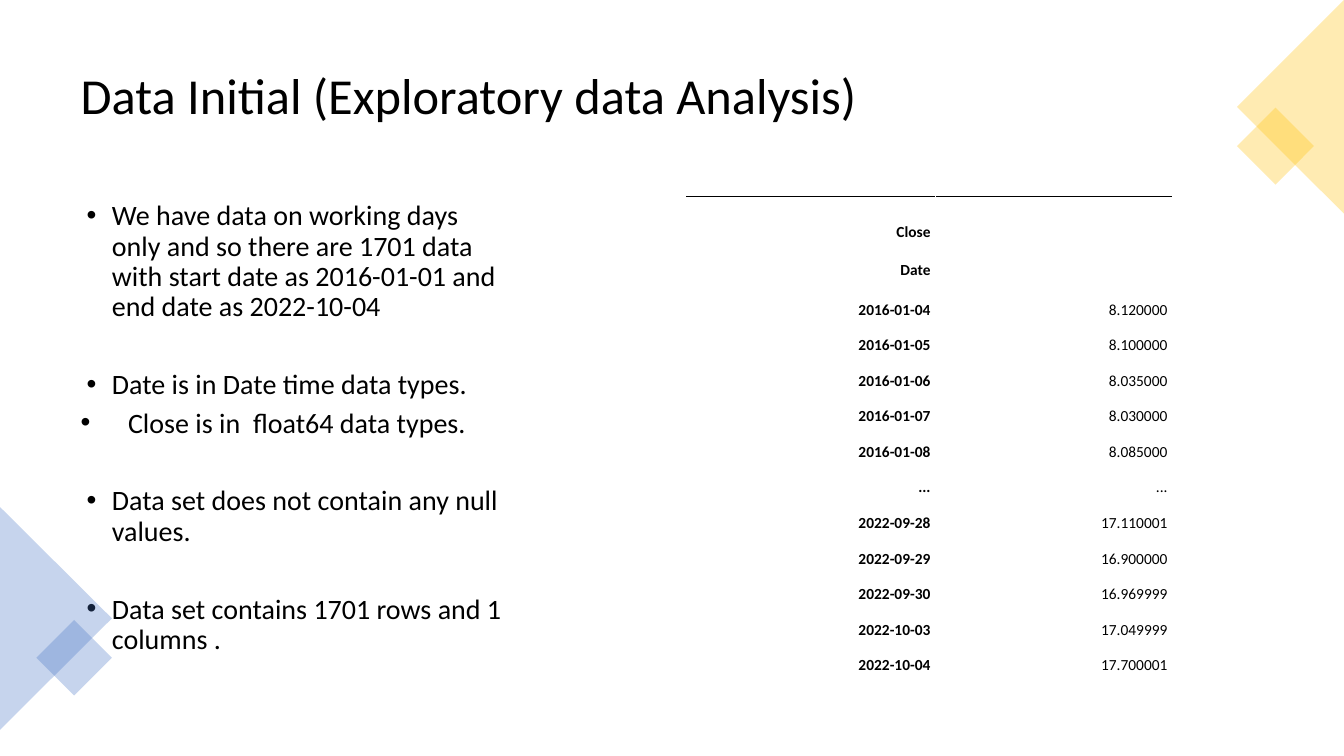
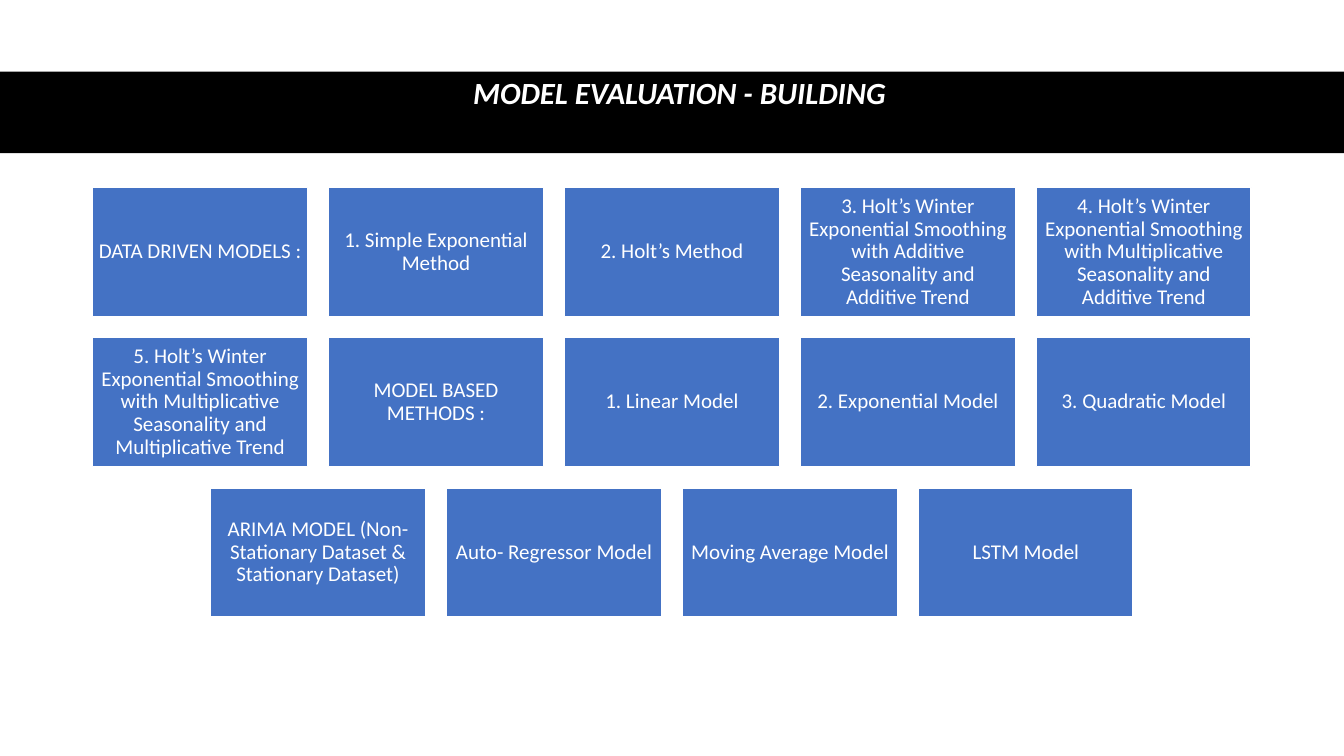
from dataclasses import dataclass

from lxml.etree import SubElement
from pptx import Presentation
from pptx.dml.color import RGBColor
from pptx.enum.shapes import MSO_SHAPE
from pptx.enum.text import MSO_ANCHOR, MSO_AUTO_SIZE, PP_ALIGN
from pptx.oxml import parse_xml
from pptx.oxml.ns import nsdecls, qn
from pptx.util import Pt

EMU_PER_PX = 9144  # 100 px to the inch
SLIDE_WIDTH, SLIDE_HEIGHT = 1333, 750
TITLE_AND_BODY, TITLE_ONLY = 1, 5


@dataclass(frozen=True)
class Theme:
    font: str = "Calibri"
    ink: str = "000000"
    paper: str = "FFFFFF"
    blue: str = "4472C4"
    gold: str = "FFC000"
    opacity: int = 30
    title_size: int = 36
    banner_size: int = 22
    body_size: int = 20
    card_size: int = 15
    table_size: int = 11
    line_spacing: float = 0.9


THEME = Theme()

# Text, left indent, hanging indent (px) and space before (pt)
FINDINGS = [
    ("We have data on working days only and so there are 1701 data with "
     "start date as 2016-01-01 and end date as 2022-10-04", 31, 25, 0),
    ("Date is in Date time data types.", 31, 25, 28),
    ("Close is in  float64 data types.", 47, 47, 0),
    ("Data set does not contain any null values.", 31, 25, 28),
    ("Data set contains 1701 rows and 1 columns .", 31, 25, 28),
]

CLOSING_PRICES = [
    ("Close", ""),
    ("Date", ""),
    ("2016-01-04", "8.120000"),
    ("2016-01-05", "8.100000"),
    ("2016-01-06", "8.035000"),
    ("2016-01-07", "8.030000"),
    ("2016-01-08", "8.085000"),
    ("...", "..."),
    ("2022-09-28", "17.110001"),
    ("2022-09-29", "16.900000"),
    ("2022-09-30", "16.969999"),
    ("2022-10-03", "17.049999"),
    ("2022-10-04", "17.700001"),
]

MODELS = [
    "DATA DRIVEN MODELS :",
    "1. Simple Exponential Method",
    "2. Holt’s Method",
    "3. Holt’s Winter Exponential Smoothing with Additive Seasonality "
    "and Additive Trend",
    "4. Holt’s Winter Exponential Smoothing with Multiplicative Seasonality "
    "and Additive Trend",
    "5. Holt’s Winter Exponential Smoothing with Multiplicative Seasonality "
    "and Multiplicative Trend",
    "MODEL BASED METHODS :",
    "1. Linear Model",
    "2. Exponential Model",
    "3. Quadratic Model",
    "ARIMA MODEL (Non-Stationary Dataset & Stationary Dataset)",
    "Auto- Regressor Model",
    "Moving Average Model",
    "LSTM Model",
]


def px(length):
    return length * EMU_PER_PX


def rgb(color):
    return RGBColor.from_string(color)


def set_values(target, values):
    for name, value in values.items():
        setattr(target, name, value)


def place(shape, left, top, width, height):
    set_values(shape, {"left": px(left), "top": px(top),
                       "width": px(width), "height": px(height)})


def write(paragraph, text, size, color, bold=False, italic=False, **layout):
    run = paragraph.add_run()
    run.text = text
    set_values(run.font, {"name": THEME.font, "size": Pt(size),
                          "bold": bold, "italic": italic})
    run.font.color.rgb = rgb(color)
    set_values(paragraph, layout)


def format_frame(frame, anchor, **margins):
    set_values(frame, {"word_wrap": True, "auto_size": MSO_AUTO_SIZE.NONE,
                       "vertical_anchor": anchor, **margins})


def add_title(slide, text, box, size, color, align,
              anchor=MSO_ANCHOR.MIDDLE, margin_top=5, **style):
    title = slide.shapes.title
    place(title, *box)
    format_frame(title.text_frame, anchor, margin_top=px(margin_top))
    write(title.text_frame.paragraphs[0], text, size, color,
          alignment=align, line_spacing=THEME.line_spacing, **style)
    return title


def add_block(slide, preset, box, color, rotation=0, opacity=100, outline=None):
    block = slide.shapes.add_shape(preset, *map(px, box))
    block.shadow.inherit = False
    block.rotation = rotation
    block.fill.solid()
    block.fill.fore_color.rgb = rgb(color)
    if opacity < 100:
        fill_color = block.element.spPr.find(".//" + qn("a:srgbClr"))
        SubElement(fill_color, qn("a:alpha"), val=str(opacity * 1000))
    if outline:
        block.line.color.rgb = rgb(outline)
        block.line.width = Pt(1)
    else:
        block.line.fill.background()
    return block


def add_bullet(paragraph, left, hanging):
    properties = paragraph._p.get_or_add_pPr()
    properties.set("marL", str(px(left)))
    properties.set("indent", str(-px(hanging)))
    SubElement(properties, qn("a:buFont"), typeface="Arial")
    SubElement(properties, qn("a:buChar"), char="•")


def add_findings(slide, box):
    body = slide.placeholders[1]
    place(body, *box)
    frame = body.text_frame
    format_frame(frame, MSO_ANCHOR.TOP)
    for index, (text, left, hanging, space_before) in enumerate(FINDINGS):
        paragraph = frame.add_paragraph() if index else frame.paragraphs[0]
        add_bullet(paragraph, left, hanging)
        write(paragraph, text, THEME.body_size, THEME.ink,
              alignment=PP_ALIGN.LEFT, line_spacing=THEME.line_spacing,
              space_before=Pt(space_before), space_after=Pt(6))


def add_top_border(cell):
    border = parse_xml(
        f'<a:lnT {nsdecls("a")} w="{Pt(1)}"><a:solidFill>'
        f'<a:srgbClr val="{THEME.ink}"/></a:solidFill></a:lnT>')
    cell._tc.get_or_add_tcPr().insert(0, border)


def add_price_table(slide, left, top, widths, header_height, rows_height):
    row_count = len(CLOSING_PRICES)
    frame = slide.shapes.add_table(
        row_count, len(widths), px(left), px(top),
        px(sum(widths)), px(header_height + rows_height))
    table = frame.table
    set_values(table, {"first_row": False, "horz_banding": False})
    for column, width in zip(table.columns, widths):
        column.width = px(width)
    for row_index, values in enumerate(CLOSING_PRICES):
        row = table.rows[row_index]
        is_header = row_index == 0
        row.height = (px(header_height) if is_header
                      else px(rows_height) // (row_count - 1))
        for column_index, text in enumerate(values):
            cell = table.cell(row_index, column_index)
            cell.fill.background()
            set_values(cell, {
                "margin_left": px(6), "margin_top": px(4),
                "margin_right": px(5), "margin_bottom": px(9),
                "vertical_anchor": (MSO_ANCHOR.BOTTOM if is_header
                                    else MSO_ANCHOR.MIDDLE)})
            if is_header:
                add_top_border(cell)
            if text:
                write(cell.text_frame.paragraphs[0], text, THEME.table_size,
                      THEME.ink, bold=column_index == 0,
                      alignment=PP_ALIGN.RIGHT)


def add_model_cards(slide, left, top, width, height, gap, per_row):
    pitch_x, pitch_y = width + gap, height + gap
    for index, text in enumerate(MODELS):
        row, column = divmod(index, per_row)
        in_row = min(per_row, len(MODELS) - row * per_row)
        row_left = left + (per_row - in_row) * pitch_x // 2
        card = add_block(
            slide, MSO_SHAPE.RECTANGLE,
            (row_left + column * pitch_x, top + row * pitch_y, width, height),
            THEME.blue, outline=THEME.paper)
        sides = ("left", "top", "right", "bottom")
        format_frame(card.text_frame, MSO_ANCHOR.MIDDLE,
                     **{f"margin_{side}": px(6) for side in sides})
        write(card.text_frame.paragraphs[0], text, THEME.card_size,
              THEME.paper, alignment=PP_ALIGN.CENTER,
              line_spacing=THEME.line_spacing)


def build_exploration(deck):
    slide = deck.slides.add_slide(deck.slide_layouts[TITLE_AND_BODY])
    add_title(slide, "Data Initial (Exploratory data Analysis)",
              (70, 35, 1193, 124), THEME.title_size, THEME.ink, PP_ALIGN.LEFT)
    add_findings(slide, (70, 195, 438, 481))
    # Corner ornaments
    triangle, square = MSO_SHAPE.ISOSCELES_TRIANGLE, MSO_SHAPE.RECTANGLE
    for preset, box, color, rotation in (
            (triangle, (-55, 558, 221, 111), THEME.blue, 90),
            (square, (47, 626, 53, 53), THEME.blue, 45),
            (square, (1238, 118, 54, 54), THEME.gold, 45),
            (triangle, (1174, 53, 212, 106), THEME.gold, 270)):
        add_block(slide, preset, box, color, rotation, THEME.opacity)
    add_price_table(slide, 680, 195, (248, 235), 54, 423)


def build_models(deck):
    slide = deck.slides.add_slide(deck.slide_layouts[TITLE_ONLY])
    # Black band, kept behind the title
    band = add_block(slide, MSO_SHAPE.RECTANGLE, (0, 71, SLIDE_WIDTH, 81),
                     THEME.ink)
    title = add_title(slide, "MODEL EVALUATION - BUILDING",
                      (61, 70, 1226, 81), THEME.banner_size, THEME.paper,
                      PP_ALIGN.CENTER, MSO_ANCHOR.TOP, margin_top=7,
                      bold=True, italic=True)
    title.element.addprevious(band.element)
    add_model_cards(slide, 92, 186, width=213, height=128, gap=21, per_row=5)


def main():
    deck = Presentation()
    set_values(deck, {"slide_width": px(SLIDE_WIDTH),
                      "slide_height": px(SLIDE_HEIGHT)})
    build_exploration(deck)
    build_models(deck)
    deck.save("out.pptx")


if __name__ == "__main__":
    main()
